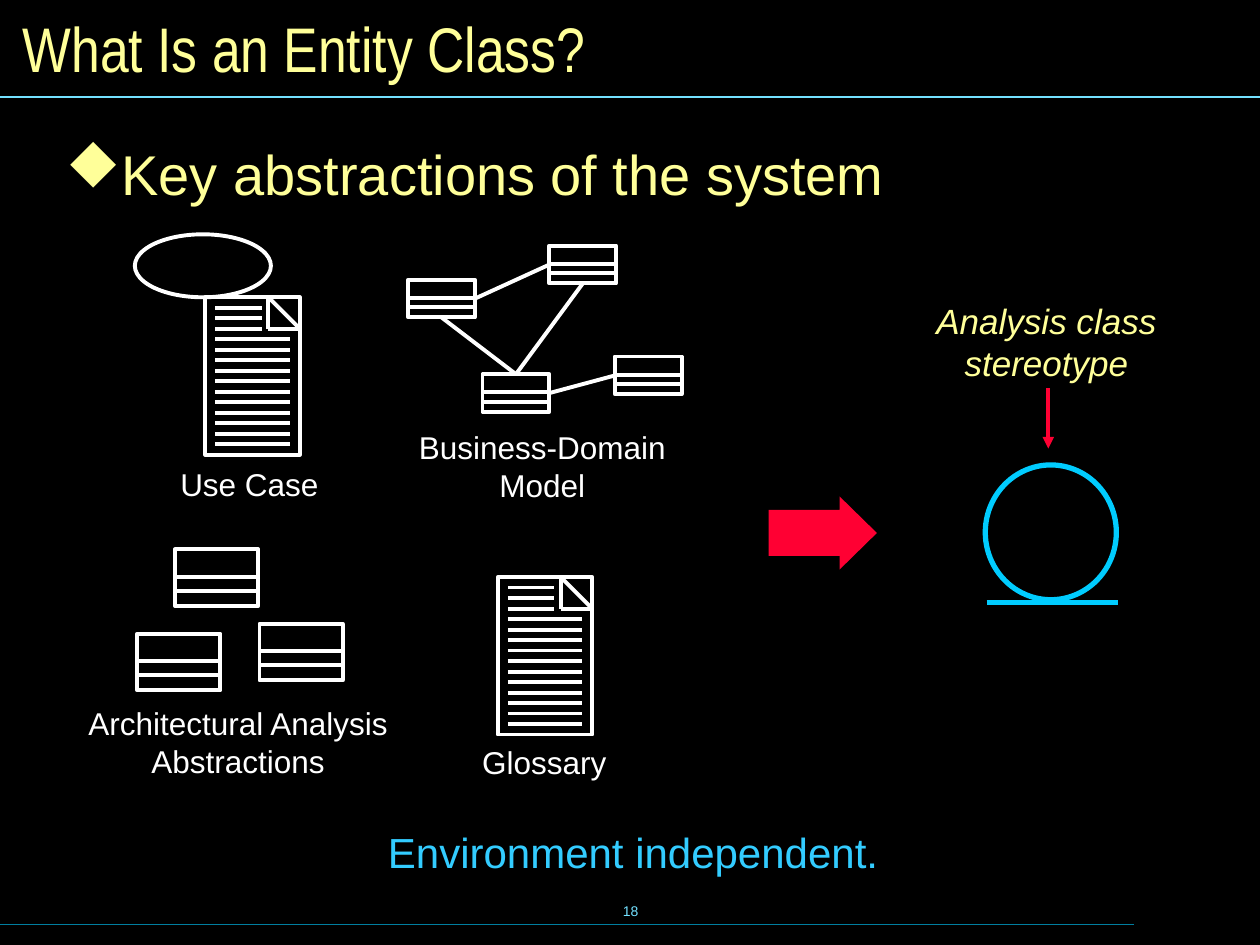
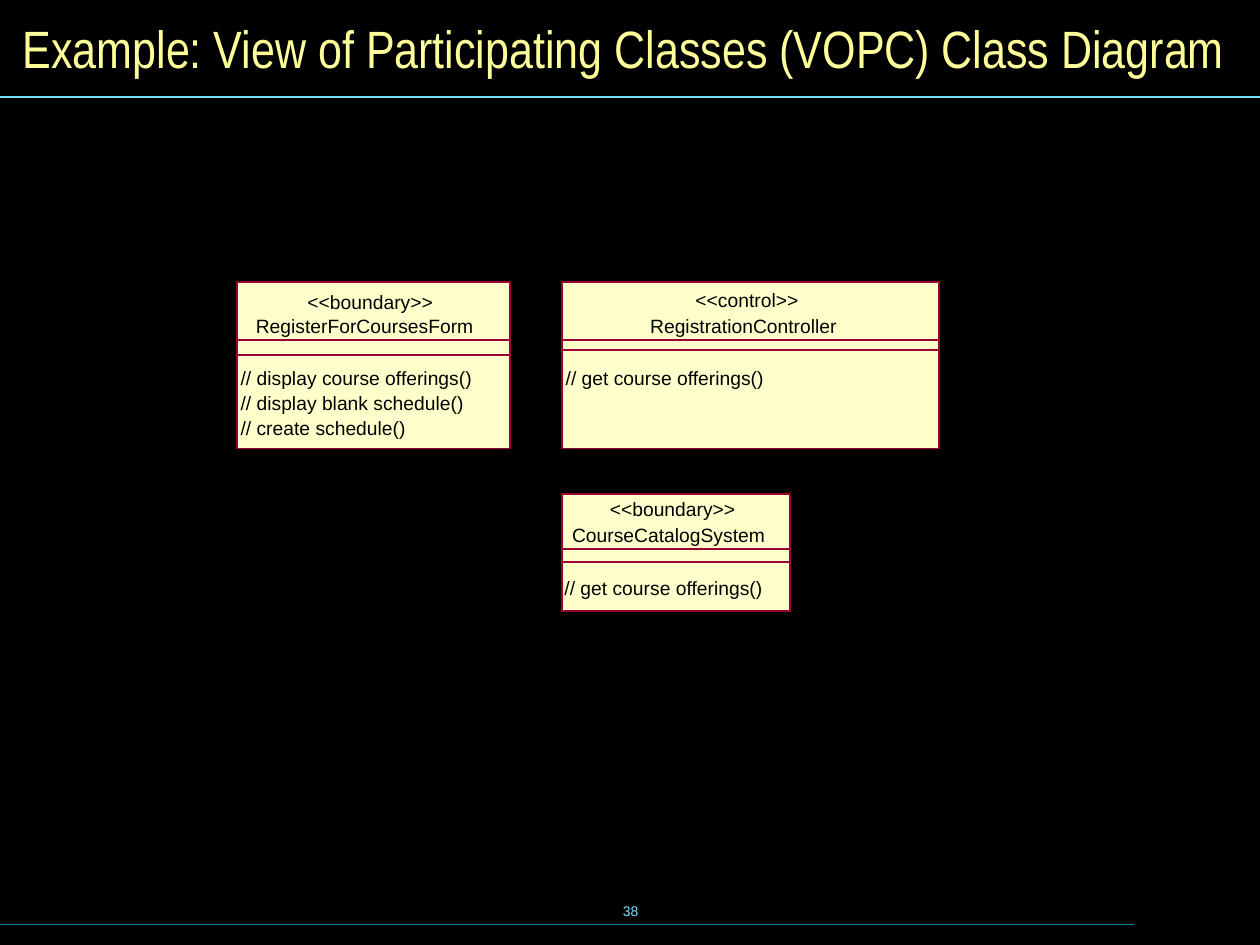
"""Build two slides on entity classes and a class diagram."""
from lxml.etree import SubElement
from pptx import Presentation
from pptx.dml.color import RGBColor
from pptx.enum.shapes import MSO_CONNECTOR, MSO_SHAPE
from pptx.enum.text import MSO_ANCHOR, PP_ALIGN
from pptx.oxml.ns import qn
from pptx.util import Inches, Pt

COLORS = {
    "black": "000000", "white": "FFFFFF", "yellow": "FFFF99", "cream": "FFFFCC",
    "top rule": "73E1FF", "bottom rule": "007E9F", "sky": "33CCFF",
    "cyan": "00CCFF", "red": "FF0033", "maroon": "990033",
}


def draw(slide, kind, left, top, width, height, line="white", weight=2.25, fill=None):
    if kind == "line":
        item = slide.shapes.add_connector(
            MSO_CONNECTOR.STRAIGHT, Inches(left), Inches(top),
            Inches(left + width), Inches(top + height))
        SubElement(item._element.spPr, qn("a:effectLst"))
    else:
        item = slide.shapes.add_shape(
            kind, Inches(left), Inches(top), Inches(width), Inches(height))
        item.shadow.inherit = False
        if fill:
            item.fill.solid()
            item.fill.fore_color.rgb = RGBColor.from_string(COLORS[fill])
        else:
            item.fill.background()
    if line:
        item.line.color.rgb = RGBColor.from_string(COLORS[line])
        item.line.width = Pt(weight)
    else:
        item.line.fill.background()
    return item


def write(slide, text, left, top, width, height, size, color,
          align=PP_ALIGN.CENTER, inset=0.1, gap=0, font="Arial", box=None):
    box = box or slide.shapes.add_textbox(0, 0, 0, 0)
    box.left, box.top = Inches(left), Inches(top)
    box.width, box.height = Inches(width), Inches(height)
    frame = box.text_frame
    frame.text = text
    frame.word_wrap = True
    frame.margin_left = frame.margin_right = Inches(inset)
    frame.margin_top = frame.margin_bottom = Inches(inset / 2)
    for index, para in enumerate(frame.paragraphs):
        para.alignment = align
        if index and gap:
            para.space_before = Pt(gap)
        for span in para.runs:
            span.font.name = font
            span.font.size = Pt(size)
            span.font.color.rgb = RGBColor.from_string(COLORS[color])
    return box


deck = Presentation()
deck.slide_width, deck.slide_height = Inches(10), Inches(7.5)
background = deck.slide_master.background.fill
background.solid()
background.fore_color.rgb = RGBColor.from_string(COLORS["black"])

pages = []
for title, title_size, number in [
    ("What Is an Entity Class?", 36, "18"),
    ("Example: View of Participating Classes (VOPC) Class Diagram", 30, "38"),
]:
    page = deck.slides.add_slide(deck.slide_layouts[5])
    draw(page, "line", 0, 7.34, 9, 0, "bottom rule", 0.75)
    draw(page, "line", 0, 0.77, 10, 0, "top rule", 0.75)
    heading = write(page, title, 0.08, 0.08, 9.84, 0.59, title_size, "yellow",
                    PP_ALIGN.LEFT, font="Arial Narrow", box=page.shapes.title)
    footer = write(page, number, 3.42, 6.98, 3.17, 0.5, 8, "top rule")
    for box in (heading, footer):
        box.text_frame.vertical_anchor = MSO_ANCHOR.MIDDLE
    pages.append(page)
entity_page, diagram_page = pages

abstraction = write(entity_page, "Key abstractions of the system",
                    0.4, 1.15, 9.29, 0.6, 32, "yellow", PP_ALIGN.LEFT, 0.12)
para = abstraction.text_frame.paragraphs[0]
para.line_spacing = 0.8
properties = para._p.get_or_add_pPr()
properties.set("marL", str(Inches(0.37)))
properties.set("indent", str(Inches(-0.37)))
bullet_color = SubElement(properties, qn("a:buClr"))
SubElement(bullet_color, qn("a:srgbClr"), val=COLORS["yellow"])
SubElement(properties, qn("a:buFont"), typeface="Wingdings",
           pitchFamily="2", charset="2")
SubElement(properties, qn("a:buChar"), char="u")

draw(entity_page, MSO_SHAPE.OVAL, 1.07, 1.86, 1.08, 0.5)
for left, top in [(1.63, 2.36), (3.95, 4.58)]:
    draw(entity_page, MSO_SHAPE.RECTANGLE, left, top, 0.75, 1.25)
    fold = left + 0.5
    draw(entity_page, "line", fold, top, 0.25, 0.25)
    draw(entity_page, "line", fold, top, 0, 0.25)
    draw(entity_page, "line", fold, top + 0.25, 0.25, 0)
    for row in range(1, 15):
        length = 0.37 if row <= 3 else 0.59
        draw(entity_page, "line", left + 0.08, top + row / 12, length, 0)

class_boxes = []
for left, top, width, height in [
    (3.24, 2.22, 0.53, 0.3), (4.36, 1.95, 0.53, 0.3),
    (3.83, 2.97, 0.53, 0.3), (4.88, 2.83, 0.53, 0.3),
    (1.39, 4.36, 0.66, 0.45), (2.06, 4.95, 0.66, 0.45), (1.09, 5.03, 0.66, 0.45),
]:
    class_boxes.append(draw(entity_page, MSO_SHAPE.RECTANGLE, left, top, width, height))
    for share in (0.48, 0.73):
        draw(entity_page, "line", left, top + share * height, width, 0)

for start, start_side, end, end_side in [
    (2, 0, 0, 2), (0, 3, 1, 1), (2, 3, 3, 1), (2, 0, 1, 2),
]:
    link = draw(entity_page, "line", 0, 0, 1, 1)
    link.begin_connect(class_boxes[start], start_side)
    link.end_connect(class_boxes[end], end_side)

for caption, left, top, width, height in [
    ("Use Case", 1.26, 3.64, 1.44, 0.4),
    ("Business-Domain\nModel", 3.19, 3.35, 2.23, 0.7),
    ("Architectural Analysis Abstractions", 0.54, 5.54, 2.7, 0.7),
    ("Glossary", 3.63, 5.85, 1.38, 0.4),
]:
    write(entity_page, caption, left, top, width, height, 18, "white")

block_arrow = draw(entity_page, MSO_SHAPE.RIGHT_ARROW, 6.1, 3.94, 0.86, 0.58,
                   line=None, fill="red")
block_arrow.adjustments[0], block_arrow.adjustments[1] = 0.63, 0.51
write(entity_page, "Environment independent.", 2.96, 6.51, 4.13, 0.5, 24, "sky")
stereotype_label = write(entity_page, "Analysis class stereotype",
                         7.31, 2.32, 1.99, 0.79, 20, "yellow", inset=0.12)
stereotype_label.text_frame.paragraphs[0].runs[0].font.italic = True
pointer = draw(entity_page, "line", 8.32, 3.08, 0, 0.48, "red")
SubElement(pointer.line._get_or_add_ln(), qn("a:tailEnd"), type="triangle")
draw(entity_page, MSO_SHAPE.OVAL, 7.82, 3.69, 1.04, 1.07, "cyan", 3)
draw(entity_page, "line", 7.83, 4.78, 1.04, 0, "cyan", 3)

for left, top, width, height, dividers, labels in [
    (1.88, 2.24, 2.17, 1.32, (0.46, 0.58), [
        ("<<boundary>>", 0.56, 0.06), ("RegisterForCoursesForm", 0.15, 0.25),
        ("// display course offerings()\n// display blank schedule()\n"
         "// create schedule()", 0.03, 0.67)]),
    (4.46, 2.24, 2.99, 1.32, (0.46, 0.54), [
        ("<<control>>", 1.06, 0.05), ("RegistrationController", 0.7, 0.25),
        ("// get course offerings()", 0.03, 0.67)]),
    (4.46, 3.92, 1.81, 0.93, (0.44, 0.54), [
        ("<<boundary>>", 0.38, 0.03), ("CourseCatalogSystem", 0.08, 0.23),
        ("// get course offerings()", 0.02, 0.65)]),
]:
    draw(diagram_page, MSO_SHAPE.RECTANGLE, left, top, width, height,
         "maroon", 1, "cream")
    for offset in dividers:
        draw(diagram_page, MSO_SHAPE.RECTANGLE, left, top + offset,
             width, height - offset, "maroon", 1)
    for text, indent, drop in labels:
        lines = text.count("\n") + 1
        write(diagram_page, text, left + indent, top + drop, width - indent,
              0.19 * lines, 11, "black", PP_ALIGN.LEFT, 0, 0.9)

deck.save("out.pptx")
